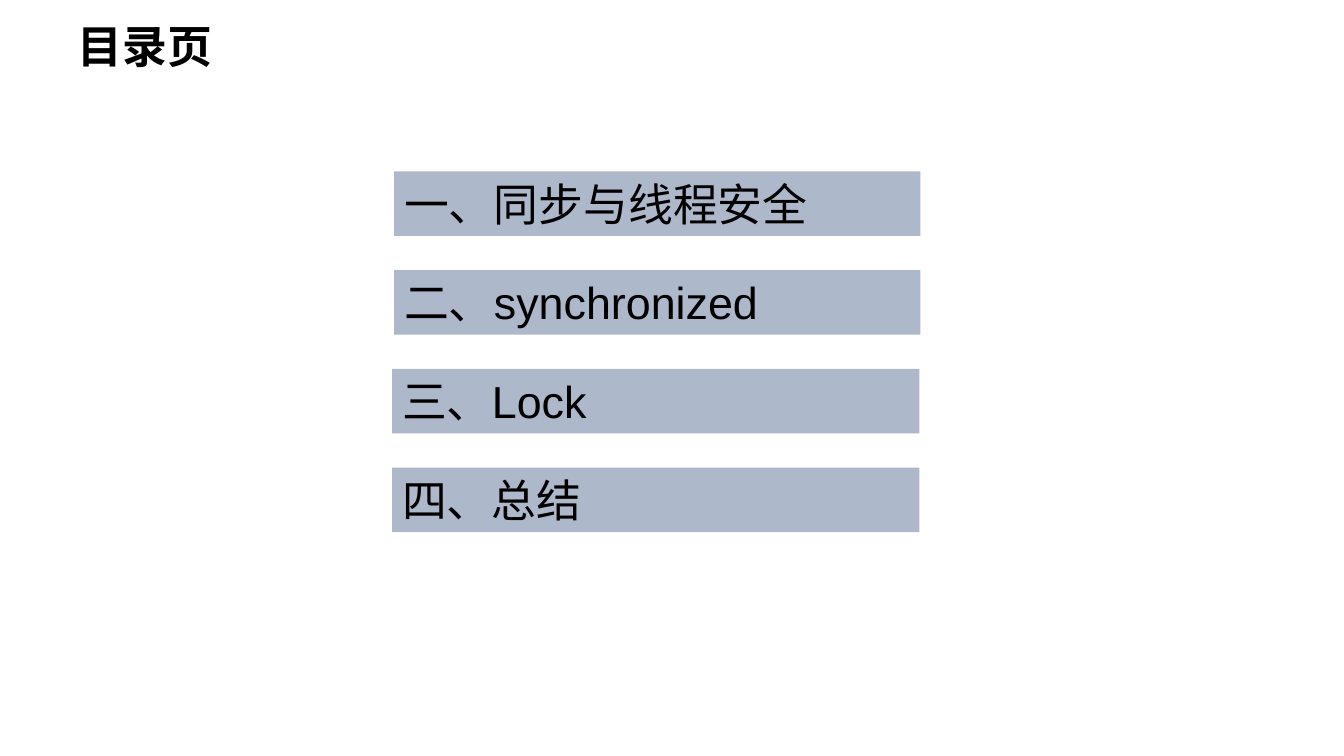
from lxml.etree import SubElement
from pptx import Presentation
from pptx.dml.color import RGBColor
from pptx.enum.shapes import MSO_SHAPE as Shape
from pptx.enum.text import MSO_ANCHOR as Anchor, PP_ALIGN as Align
from pptx.oxml.ns import qn
from pptx.util import Inches, Pt

# Content: each entry with its left edge and width
TITLE = "目录页"
ENTRIES = [
    ("一、同步与线程安全", 3.91, 5.22),
    ("二、synchronized", 3.91, 5.22),
    ("三、Lock", 3.89, 5.23),
    ("四、总结", 3.89, 5.23),
]

BLACK = RGBColor(0x00, 0x00, 0x00)
BAR_BLUE = RGBColor(0xAD, 0xB9, 0xCA)
LATIN_FONT = "Arial"
CHINESE_FONT = "Noto Sans CJK SC"
FIRST_TOP, STEP, BAR_HEIGHT = 1.7, 0.98, 0.64


def write(box, text, font=LATIN_FONT, bold=False, anchor=Anchor.TOP, spacing=None):
    frame = box.text_frame
    frame.word_wrap = True
    frame.vertical_anchor = anchor
    para = frame.paragraphs[0]
    para.alignment = Align.LEFT
    para.line_spacing = spacing
    span = para.add_run()
    span.text = text
    span.font.size = Pt(32)
    span.font.bold = bold
    span.font.color.rgb = BLACK
    span.font.name = font
    # Chinese characters take their own typeface
    SubElement(span.font._element, qn("a:ea"), typeface=CHINESE_FONT)


deck = Presentation()
deck.slide_width, deck.slide_height = Inches(13.33), Inches(7.5)
page = deck.slides.add_slide(deck.slide_layouts[6])

# Agenda bars
for index, (entry, left, width) in enumerate(ENTRIES):
    top = FIRST_TOP + index * STEP
    bar = page.shapes.add_shape(
        Shape.RECTANGLE, Inches(left), Inches(top), Inches(width), Inches(BAR_HEIGHT))
    bar.shadow.inherit = False
    bar.fill.solid()
    bar.fill.fore_color.rgb = BAR_BLUE
    bar.line.fill.background()
    write(bar, entry)

# Title
title = page.shapes.add_textbox(Inches(0.67), Inches(0.17), Inches(9.57), Inches(0.64))
write(title, TITLE, font=CHINESE_FONT, bold=True, anchor=Anchor.MIDDLE, spacing=0.9)

deck.save("out.pptx")
